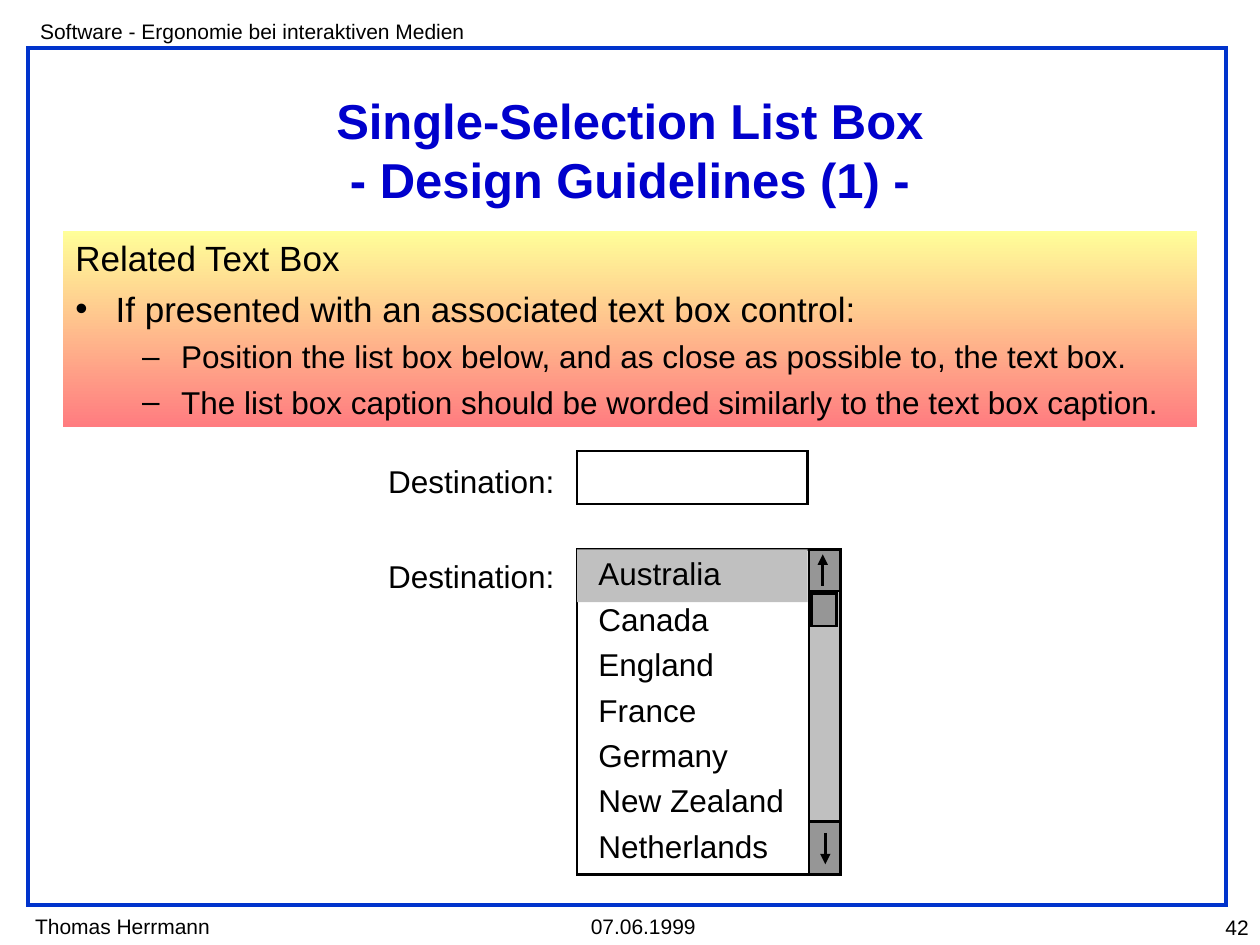
"""Build the slide on design guidelines for a single-selection list box."""
from lxml.etree import SubElement
from pptx import Presentation
from pptx.dml.color import RGBColor
from pptx.enum.shapes import MSO_CONNECTOR, MSO_SHAPE
from pptx.enum.text import MSO_ANCHOR, MSO_AUTO_SIZE, PP_ALIGN
from pptx.oxml.ns import qn
from pptx.util import Inches, Pt

FONT = "Arial"
BLACK, WHITE, LIGHT, GREY = "000000", "FFFFFF", "C0C0C0", "969696"
FRAME_BLUE, TITLE_BLUE = "0033CC", "0000CC"
GRADIENT = ["FFFF99", "FF7C80"]

MARGINS = [
    ("Software - Ergonomie bei interaktiven Medien", (0.22, 0.1, 3.7, 0.3), PP_ALIGN.LEFT),
    ("Thomas Herrmann", (0.18, 7.2, 1.62, 0.3), PP_ALIGN.LEFT),
    ("07.06.1999", (4.59, 7.2, 1.08, 0.3), PP_ALIGN.LEFT),
    ("42", (9.05, 7.21, 0.96, 0.3), PP_ALIGN.RIGHT),
]
TITLE = ["Single-Selection List Box", "- Design Guidelines (1) -"]
GUIDELINES = [
    ("Related Text Box", 0, None),
    ("If presented with an associated text box control:", 0, "•"),
    ("Position the list box below, and as close as possible to, the text box.", 1, "–"),
    ("The list box caption should be worded similarly to the text box caption.", 1, "–"),
]
LEVELS = [
    {"size": 20, "margin": 0.32, "hanging": -0.32, "before": 5},
    {"size": 18, "margin": 0.84, "hanging": -0.31, "before": 4.5},
]
CAPTION = "Destination:"
COUNTRIES = ["Australia", "Canada", "England", "France", "Germany", "New Zealand", "Netherlands"]

FIELD_LEFT, FIELD_WIDTH, ROW_HEIGHT = 4.58, 1.83, 0.42
FIELD_TOP, LIST_TOP, LIST_HEIGHT = 3.58, 4.36, 2.58
BAR_LEFT, BAR_WIDTH = 6.42, 0.25


def color(value):
    return RGBColor.from_string(value)


def add_box(page, place, fill=None, line=None, width=1.5):
    box = page.shapes.add_shape(MSO_SHAPE.RECTANGLE, *map(Inches, place))
    box.shadow.inherit = False
    if fill:
        box.fill.solid()
        box.fill.fore_color.rgb = color(fill)
    else:
        box.fill.background()
    if line:
        box.line.color.rgb = color(line)
        box.line.width = Pt(width)
        SubElement(box.line._get_or_add_ln(), qn("a:miter"), lim="800000")
    else:
        box.line.fill.background()
    return box


def add_span(para, text, size, ink=BLACK, bold=False):
    span = para.add_run()
    span.text = text
    span.font.name = FONT
    span.font.size = Pt(size)
    span.font.bold = bold
    span.font.color.rgb = color(ink)


def set_frame(frame, inset=True, wrap=True, anchor=MSO_ANCHOR.MIDDLE):
    frame.word_wrap = wrap
    frame.vertical_anchor = anchor
    frame.margin_left = frame.margin_right = Inches(0.1 if inset else 0)
    frame.margin_top = frame.margin_bottom = Inches(0.05 if inset else 0)


def add_paragraphs(frame, count):
    return [frame.paragraphs[0]] + [frame.add_paragraph() for _ in range(count - 1)]


def add_text(page, place, lines, size, align=PP_ALIGN.LEFT, spacing=None, **layout):
    box = page.shapes.add_textbox(*map(Inches, place))
    set_frame(box.text_frame, **layout)
    box.text_frame.auto_size = MSO_AUTO_SIZE.SHAPE_TO_FIT_TEXT
    for para, text in zip(add_paragraphs(box.text_frame, len(lines)), lines):
        para.alignment = align
        para.line_spacing = spacing
        add_span(para, text, size)


def add_title(page):
    box = page.shapes.add_textbox(*map(Inches, (0.5, 0.67, 9, 1.03)))
    set_frame(box.text_frame)
    para = box.text_frame.paragraphs[0]
    para.alignment = PP_ALIGN.CENTER
    for number, text in enumerate(TITLE):
        if number:
            para.add_line_break()
        add_span(para, text, 28, TITLE_BLUE, True)


def add_guidelines(page):
    box = add_box(page, (0.5, 1.83, 9, 1.56))
    box.fill.gradient()
    box.fill.gradient_angle = 270
    for stop, position, value in zip(box.fill.gradient_stops, (0, 1), GRADIENT):
        stop.position = position
        stop.color.rgb = color(value)
    set_frame(box.text_frame)
    paras = add_paragraphs(box.text_frame, len(GUIDELINES))
    for number, (para, (text, depth, bullet)) in enumerate(zip(paras, GUIDELINES)):
        level = LEVELS[depth]
        properties = para._p.get_or_add_pPr()
        properties.set("marL", str(Inches(level["margin"])))
        properties.set("indent", str(Inches(level["hanging"])))
        if bullet:
            tint = SubElement(properties, qn("a:buClr"))
            SubElement(tint, qn("a:srgbClr"), val=BLACK)
            SubElement(properties, qn("a:buFont"), typeface=FONT)
            SubElement(properties, qn("a:buChar"), char=bullet)
        para.level = depth
        para.alignment = PP_ALIGN.LEFT
        para.font.size = Pt(level["size"])
        if number:
            para.space_before = Pt(level["before"])
        add_span(para, text, level["size"])


def add_arrow(page, x, start, end):
    arrow = page.shapes.add_connector(
        MSO_CONNECTOR.STRAIGHT, Inches(x), Inches(start), Inches(x), Inches(end))
    arrow.line.color.rgb = color(BLACK)
    arrow.line.width = Pt(1.5)
    SubElement(arrow.line._get_or_add_ln(), qn("a:tailEnd"), type="triangle")
    SubElement(arrow._element.spPr, qn("a:effectLst"))


def add_list_box(page):
    add_box(page, (FIELD_LEFT, LIST_TOP, 2.08, LIST_HEIGHT), WHITE, BLACK)
    add_box(page, (FIELD_LEFT, LIST_TOP, FIELD_WIDTH, ROW_HEIGHT), LIGHT)
    add_text(page, (4.75, 4.34, 1.6, 2.52), COUNTRIES, 18, spacing=1.2, inset=False)
    add_box(page, (BAR_LEFT, LIST_TOP, BAR_WIDTH, LIST_HEIGHT), GREY, BLACK)
    add_arrow(page, 6.53, 4.65, 4.4)
    add_arrow(page, 6.55, 6.61, 6.86)
    add_box(page, (BAR_LEFT, 4.69, BAR_WIDTH, 1.83), LIGHT, BLACK)
    add_box(page, (6.44, 4.71, 0.2, 0.26), GREY, BLACK)


def main():
    deck = Presentation()
    deck.slide_width, deck.slide_height = Inches(10), Inches(7.5)
    page = deck.slides.add_slide(deck.slide_layouts[6])
    add_box(page, (0.22, 0.38, 9.51, 6.8), line=FRAME_BLUE, width=2.25)
    for text, place, align in MARGINS:
        add_text(page, place, [text], 12, align, anchor=MSO_ANCHOR.TOP)
    add_title(page)
    add_guidelines(page)
    add_list_box(page)
    add_box(page, (FIELD_LEFT, FIELD_TOP, FIELD_WIDTH, ROW_HEIGHT), WHITE, BLACK)
    for top in (3.67, 4.42):
        add_text(page, (3.08, top, 1.32, 0.3), [CAPTION], 18, PP_ALIGN.CENTER,
                 inset=False, wrap=False)
    deck.save("out.pptx")


if __name__ == "__main__":
    main()
